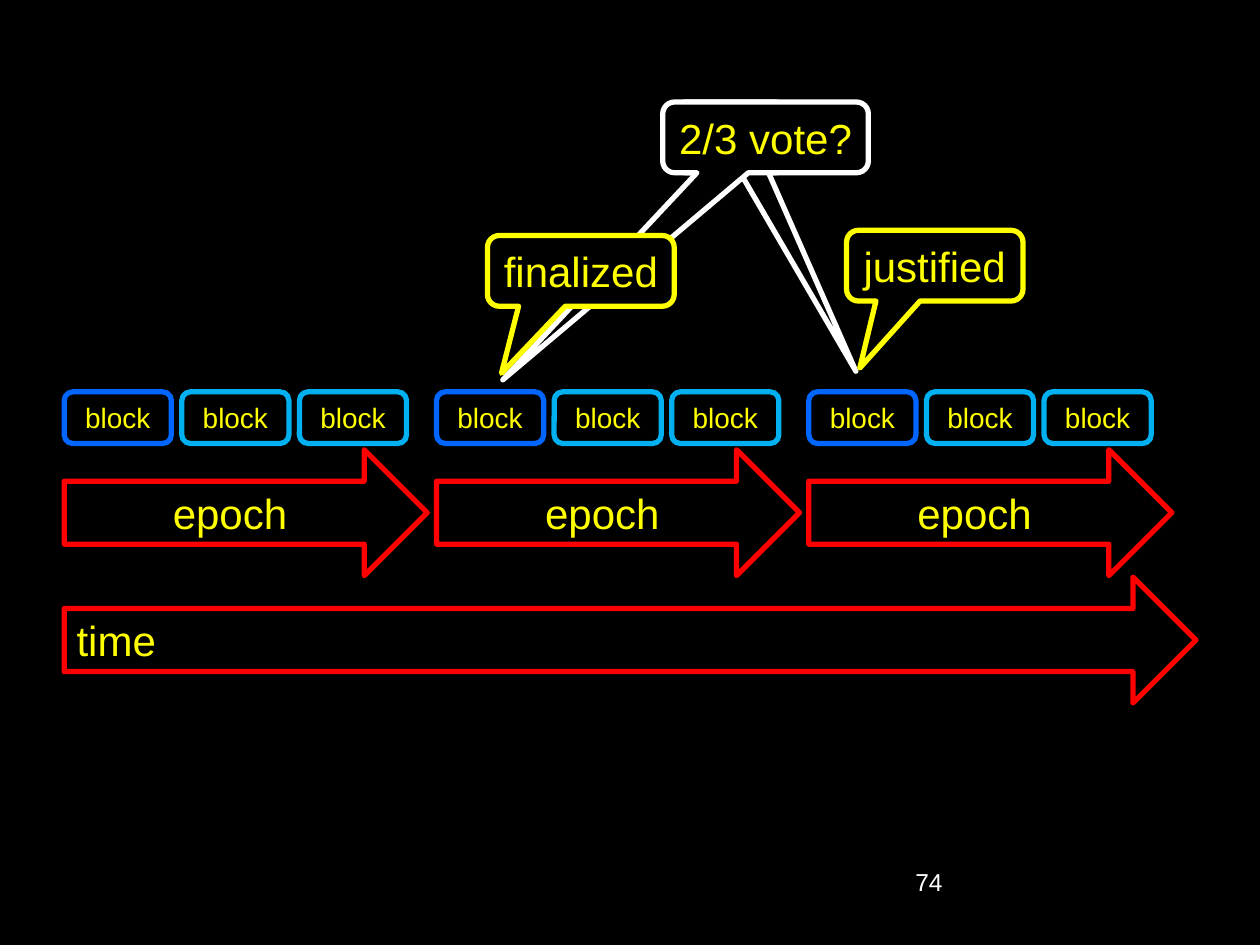
from dataclasses import dataclass

from pptx import Presentation
from pptx.dml.color import RGBColor
from pptx.enum.shapes import MSO_SHAPE
from pptx.enum.text import MSO_ANCHOR, PP_ALIGN
from pptx.util import Pt

ARROW = MSO_SHAPE.RIGHT_ARROW
BLOCK = MSO_SHAPE.ROUNDED_RECTANGLE
CALLOUT = MSO_SHAPE.ROUNDED_RECTANGULAR_CALLOUT
LEFT, CENTER = PP_ALIGN.LEFT, PP_ALIGN.CENTER
TOP, MIDDLE = MSO_ANCHOR.TOP, MSO_ANCHOR.MIDDLE

FONT = "Arial"
BLACK, WHITE, YELLOW, RED = "000000", "FFFFFF", "FFFF00", "FF0000"
BLUE, CYAN = "0066FF", "00B0F0"

# Timeline grid, in points
START = 36.7
EPOCH_PITCH, EPOCH_W, ARROW_H = 212.75, 207.4, 72
BLOCK_PITCH, BLOCK_W, BLOCK_H = 67.2, 61.2, 29.5
BLOCK_Y, EPOCH_Y, TIME_Y = 223.9, 257, 329.8


@dataclass
class Node:
    kind: MSO_SHAPE
    x: float
    y: float
    w: float
    h: float
    line: str
    text: str = ""
    size: float = 24
    align: PP_ALIGN = CENTER
    anchor: MSO_ANCHOR = MIDDLE
    wrap: bool = True
    filled: bool = True
    tail: tuple[float, float] | None = None


def rgb(color: str) -> RGBColor:
    return RGBColor.from_string(color)


def write(tf, text: str, size: float, color: str, align: PP_ALIGN) -> None:
    p = tf.paragraphs[0]
    p.alignment = align
    r = p.add_run()
    r.text = text
    r.font.name = FONT
    r.font.size = Pt(size)
    r.font.color.rgb = rgb(color)


def draw(s, node: Node) -> None:
    sp = s.shapes.add_shape(node.kind, Pt(node.x), Pt(node.y), Pt(node.w), Pt(node.h))
    sp.shadow.inherit = False
    if node.filled:
        sp.fill.solid()
        sp.fill.fore_color.rgb = rgb(BLACK)
    else:
        sp.fill.background()
    sp.line.color.rgb = rgb(node.line)
    sp.line.width = Pt(3)
    if node.tail:
        sp.adjustments[0], sp.adjustments[1] = node.tail
    if node.text:
        tf = sp.text_frame
        tf.word_wrap = node.wrap
        tf.vertical_anchor = node.anchor
        write(tf, node.text, node.size, YELLOW, node.align)


def callout(x: float, y: float, w: float, line: str, tail: tuple[float, float],
            text: str = "", filled: bool = True) -> Node:
    return Node(CALLOUT, x, y, w, 40.4, line, text, wrap=False, filled=filled, tail=tail)


def main() -> None:
    prs = Presentation()
    prs.slide_width, prs.slide_height = Pt(720), Pt(540)
    s = prs.slides.add_slide(prs.slide_layouts[6])
    s.background.fill.solid()
    s.background.fill.fore_color.rgb = rgb(BLACK)

    # Vote callout with two tails
    draw(s, callout(385.2, 58.3, 64.8, WHITE, (1.104, 3.309), filled=False))
    draw(s, callout(378.7, 58.3, 117.5, WHITE, (-1.278, 3.43), "2/3 vote?"))

    # Page number
    tf = s.shapes.add_textbox(Pt(516), Pt(492), Pt(150), Pt(36)).text_frame
    tf.word_wrap = True
    write(tf, "74", 14, WHITE, LEFT)

    # Time axis and epochs
    draw(s, Node(ARROW, START, TIME_Y, 646.7, ARROW_H, RED, "time", align=LEFT, anchor=TOP))
    epochs = [START + i * EPOCH_PITCH for i in range(3)]
    for x in epochs:
        draw(s, Node(ARROW, x, EPOCH_Y, EPOCH_W, ARROW_H, RED, "epoch"))

    # Three blocks per epoch, the first one being the checkpoint
    for x in epochs:
        for i, color in enumerate((BLUE, CYAN, CYAN)):
            draw(s, Node(BLOCK, x + i * BLOCK_PITCH, BLOCK_Y, BLOCK_W, BLOCK_H,
                         color, "block", size=16))

    # Checkpoint states
    draw(s, callout(278.6, 134.6, 106.7, YELLOW, (-0.425, 1.449), "finalized"))
    draw(s, callout(483.8, 131.6, 100.8, YELLOW, (-0.425, 1.449), "justified"))

    prs.save("out.pptx")


if __name__ == "__main__":
    main()
